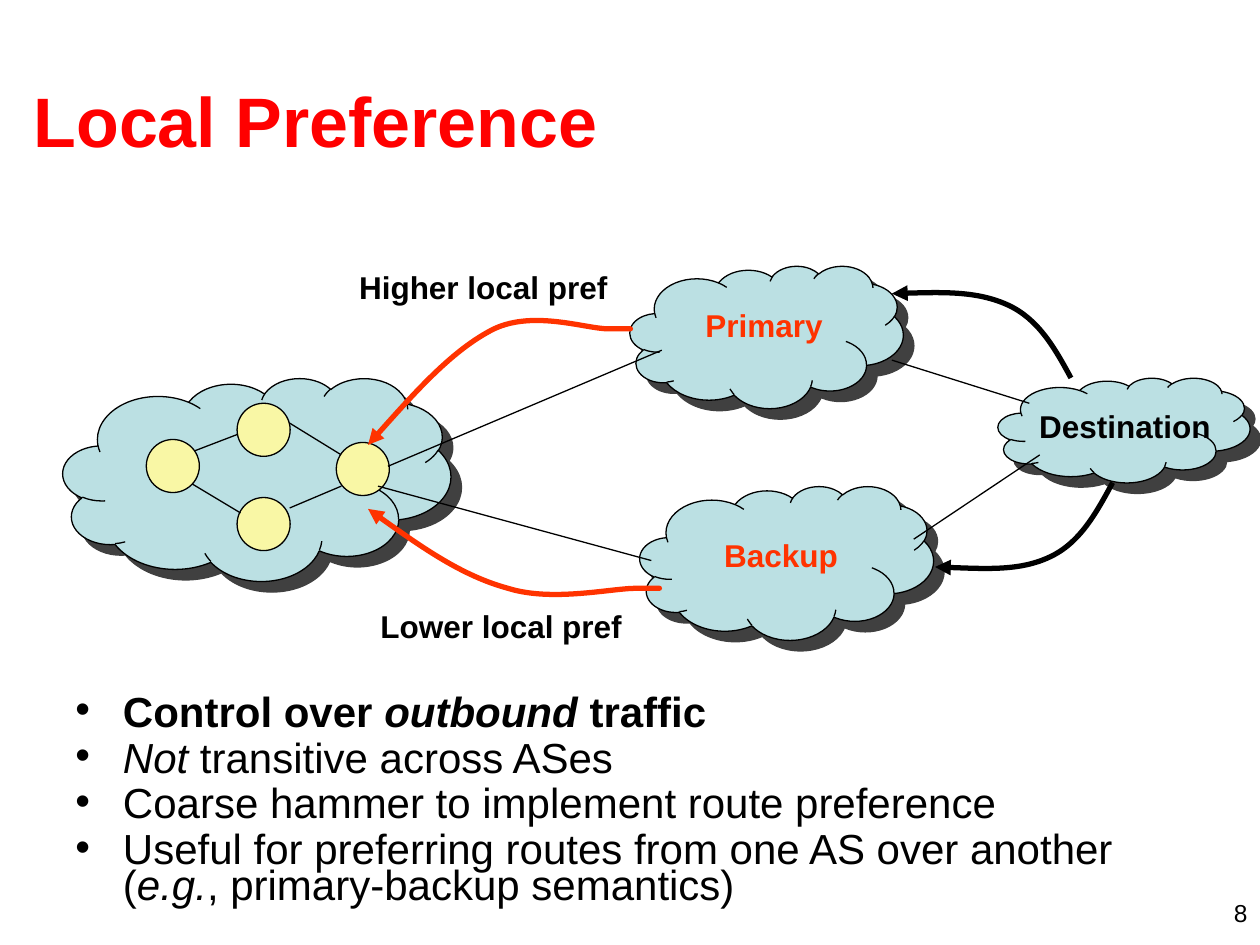
"""Build the Local Preference routing slide."""
from lxml import etree
from pptx import Presentation
from pptx.dml.color import RGBColor
from pptx.enum.shapes import MSO_CONNECTOR, MSO_SHAPE
from pptx.enum.text import MSO_ANCHOR, PP_ALIGN
from pptx.oxml.ns import qn
from pptx.util import Cm, Pt

BLACK = RGBColor(0x00, 0x00, 0x00)
RED = RGBColor(0xFF, 0x00, 0x00)
ORANGE = RGBColor(0xFF, 0x33, 0x00)
BLUE = RGBColor(0xBB, 0xE0, 0xE3)
YELLOW = RGBColor(0xF9, 0xF7, 0xA5)
CLOUD, OVAL = MSO_SHAPE.CLOUD, MSO_SHAPE.OVAL
STRAIGHT = MSO_CONNECTOR.STRAIGHT
TOP, MIDDLE = MSO_ANCHOR.TOP, MSO_ANCHOR.MIDDLE
LEFT, RIGHT = PP_ALIGN.LEFT, PP_ALIGN.RIGHT


def sub(parent, tag, **attrs):
    return etree.SubElement(parent, qn(tag), attrs)


def write(para, text, size=18, color=BLACK, bold=False, italic=False, font="Arial"):
    run = para.add_run()
    run.text = text
    face = run.font
    face.name, face.size, face.bold, face.italic = font, Pt(size), bold, italic
    face.color.rgb = color


class Board:
    def __init__(self, slide, thin=0.75, thick=3):
        self.shapes = slide.shapes
        self.thin, self.thick = Pt(thin), Pt(thick)

    def frame(self, box, wrap=True, anchor=TOP):
        frame = self.shapes.add_textbox(*map(Cm, box)).text_frame
        frame.word_wrap = wrap
        frame.vertical_anchor = anchor
        return frame

    def text(self, box, text, wrap=True, anchor=TOP, align=LEFT, before=0, **style):
        para = self.frame(box, wrap, anchor).paragraphs[0]
        para.alignment = align
        para.space_before = Pt(before)
        write(para, text, **style)

    def bullets(self, box, items, indent=0.96):
        frame = self.frame(box)
        for i, (bold, runs) in enumerate(items):
            para = frame.add_paragraph() if i else frame.paragraphs[0]
            para.line_spacing, para.space_before = 0.7, Pt(6)
            props = para._p.get_or_add_pPr()
            props.set("marL", str(Cm(indent)))
            props.set("indent", str(-Cm(indent)))
            sub(props, "a:buFont", typeface="Arial")
            sub(props, "a:buChar", char="•")
            for text, italic in runs:
                write(para, text, size=24, bold=bold, italic=italic)

    def shape(self, kind, box, fill):
        shape = self.shapes.add_shape(kind, *map(Cm, box))
        shape.shadow.inherit = False
        shape.fill.solid()
        shape.fill.fore_color.rgb = fill
        shape.line.color.rgb = BLACK
        shape.line.width = self.thin
        return shape

    def cloud(self, *box):
        shape = self.shape(CLOUD, box, BLUE)
        effect = shape._element.spPr.find(qn("a:effectLst"))
        shade = sub(effect, "a:outerShdw", dist=str(Pt(8.5)), dir="2700000",
                    algn="ctr", rotWithShape="0")
        color = sub(shade, "a:srgbClr", val=str(BLACK))
        sub(color, "a:alpha", val="75000")

    def node(self, left, top, size=1.07):
        self.shape(OVAL, (left, top, size, size), YELLOW)

    def link(self, *ends):
        line = self.shapes.add_connector(STRAIGHT, *map(Cm, ends))
        line.line.color.rgb = BLACK
        line.line.width = self.thin
        sub(line._element.spPr, "a:effectLst")

    def curve(self, color, *points):
        start, *rest = [(Cm(x), Cm(y)) for x, y in points]
        maker = self.shapes.build_freeform(*start)
        maker.add_line_segments(rest, close=False)
        shape = maker.convert_to_shape()
        shape.shadow.inherit = False
        shape.fill.background()
        shape.line.color.rgb = color
        shape.line.width = self.thick
        sub(shape.line._get_or_add_ln(), "a:tailEnd", type="triangle")
        steps = list(shape._element.iter(qn("a:lnTo")))
        track = steps[0].getparent()
        for i in range(0, len(steps), 3):
            bend = sub(track, "a:cubicBezTo")
            for step in steps[i:i + 3]:
                bend.append(step[0])
                track.remove(step)


def main():
    deck = Presentation()
    deck.slide_width, deck.slide_height = Cm(25.4), Cm(19.05)
    board = Board(deck.slides.add_slide(deck.slide_layouts[6]))

    board.text((19.48, 17.98, 5.92, 0.64), "8", size=14, align=RIGHT)
    board.text((0.43, 0.81, 24.33, 3.18), "Local Preference", size=40,
               color=RED, bold=True, anchor=MIDDLE)
    board.bullets((1.27, 13.97, 22.86, 4.95), [
        (True, [("Control over ", False), ("outbound", True), (" traffic", False)]),
        (False, [("Not", True), (" transitive across ASes", False)]),
        (False, [("Coarse hammer to implement route preference", False)]),
        (False, [("Useful for preferring routes from one AS over another (", False),
                 ("e.g.", True), (", primary-backup semantics)", False)]),
    ])

    board.cloud(1.27, 7.62, 7.82, 4.09)
    board.cloud(12.7, 5.36, 5.51, 2.87)
    board.cloud(12.9, 9.8, 5.92, 3.1)
    board.cloud(20.12, 7.62, 5.08, 2.11)

    for spot in [(4.78, 8.13), (4.78, 10.03)]:
        board.node(*spot)
    for ends in [(3.71, 9.17, 4.78, 8.76), (5.84, 10.24, 6.88, 9.8),
                 (3.78, 9.7, 4.85, 10.34), (5.84, 8.53, 6.88, 9.17)]:
        board.link(*ends)
    for spot in [(6.78, 8.92), (2.95, 8.86)]:
        board.node(*spot)
    for ends in [(7.82, 9.4, 13.34, 7.06), (7.62, 9.8, 13.13, 11.3),
                 (17.98, 7.26, 20.75, 8.13), (18.42, 10.87, 20.96, 9.17)]:
        board.link(*ends)

    board.curve(ORANGE, (12.7, 6.63), (12.73, 6.63), (12.73, 6.63), (12.27, 6.63),
                (11.81, 6.63), (10.77, 6.25), (9.96, 6.63),
                (9.14, 7.04), (8.28, 8), (7.42, 8.97))
    board.curve(ORANGE, (13.28, 11.86), (13.31, 11.86), (13.34, 11.86), (12.83, 11.86),
                (12.32, 11.86), (11.13, 12.14), (10.24, 11.86),
                (9.32, 11.61), (8.38, 10.95), (7.42, 10.26))
    board.curve(BLACK, (21.59, 7.62), (21.26, 7.01), (20.93, 6.43), (20.32, 6.15),
                (19.71, 5.87), (18.85, 5.89), (17.98, 5.92))
    board.curve(BLACK, (22.43, 9.73), (22.1, 10.34), (21.77, 10.95), (21.16, 11.23),
                (20.57, 11.51), (19.71, 11.46), (18.85, 11.43))

    for left, top, width, text, color in [(13.97, 6.05, 2.95, "Primary", ORANGE),
                                          (14.35, 10.69, 2.95, "Backup", ORANGE),
                                          (20.7, 8.08, 4.05, "Destination", BLACK)]:
        board.text((left, top, width, 1.02), text, wrap=False, color=color, bold=True)
    for left, top, text in [(6.99, 5.28, "Higher local pref"),
                            (7.42, 12.12, "Lower local pref")]:
        board.text((left, top, 6.35, 1.02), text, before=11.2, bold=True)

    deck.save("out.pptx")


if __name__ == "__main__":
    main()
